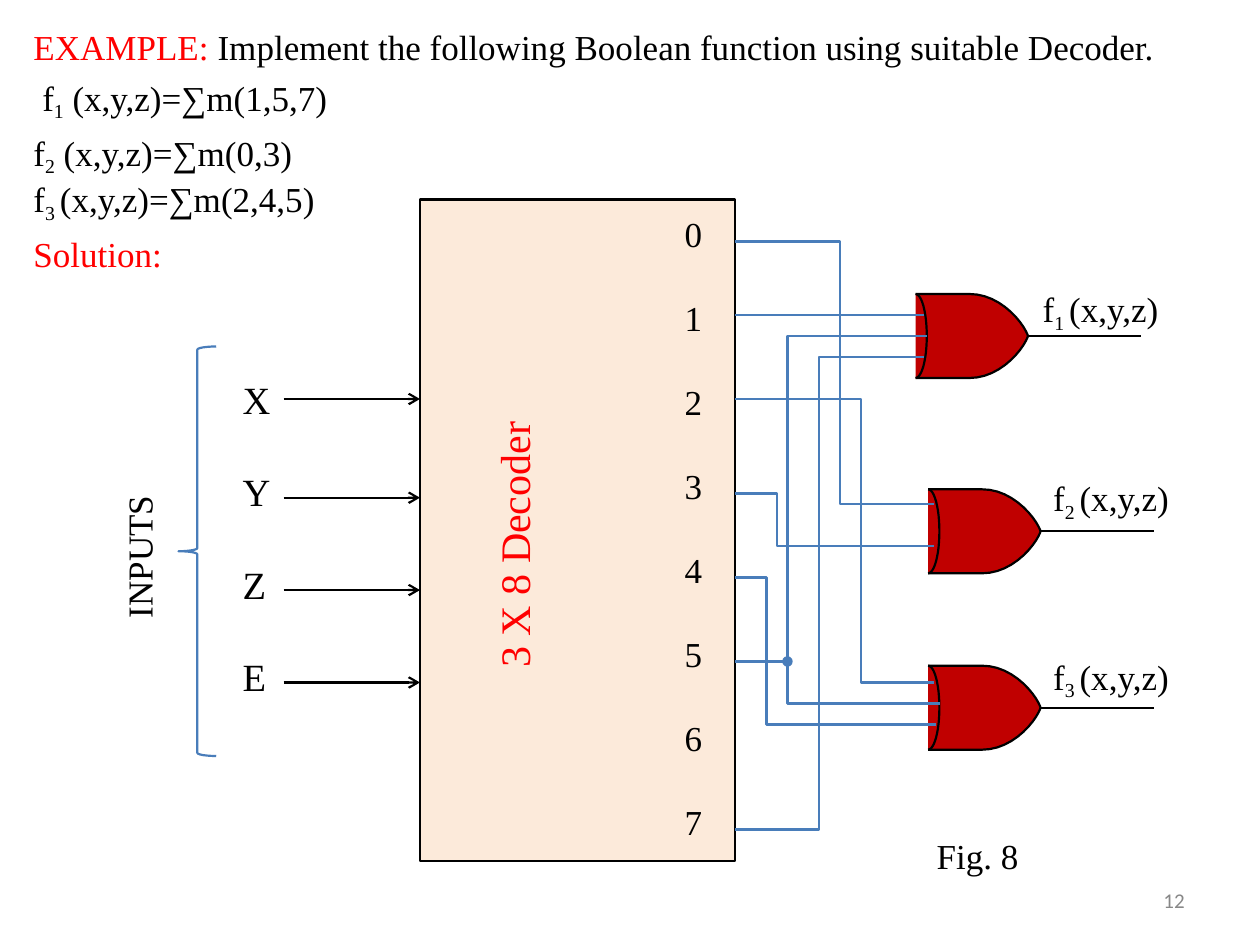
from math import sin, cos, pi

from lxml.etree import SubElement
from pptx import Presentation
from pptx.dml.color import RGBColor
from pptx.enum.shapes import MSO_CONNECTOR as Link, MSO_SHAPE as Shape
from pptx.enum.text import MSO_ANCHOR as Anchor, MSO_AUTO_SIZE as Fit, PP_ALIGN as Align
from pptx.oxml.ns import qn
from pptx.util import Inches, Pt

UNIT = Inches(1) / 12
SERIF = "Times New Roman"
HUES = {"ink": "000000", "red": "FF0000", "box": "FCEADA",
        "gate": "C00000", "wire": "497DBA", "page": "888888"}


def grid(*vals):
    """Turn grid steps, twelve to the inch, into lengths."""
    return [round(v * UNIT) for v in vals]


def hue(name):
    """Look up a colour."""
    return RGBColor.from_string(HUES[name])


def style(shape, fill=None, line=None):
    """Set the fill and line of a shape and drop its shadow."""
    shape.shadow.inherit = False
    if fill:
        shape.fill.solid()
        shape.fill.fore_color.rgb = hue(fill)
    else:
        shape.fill.background()
    if line:
        shape.line.color.rgb = hue(line)
        shape.line.width = Pt(1.25)
    else:
        shape.line.fill.background()


def write(par, parts, size=20, font=SERIF):
    """Fill a paragraph with (text, colour) runs; a colour of 'sub' lowers the run."""
    par.alignment = Align.LEFT
    for text, tone in parts:
        run = par.add_run()
        run.text = text
        low = tone == "sub"
        run.font.name = font
        run.font.size = Pt(size - 0.5 if low else size)
        run.font.color.rgb = hue("ink" if low else tone)
        if low:
            run._r.get_or_add_rPr().set("baseline", "-21000")


def frame(shape, left=0.0):
    """Prepare the text frame of a shape with tight margins."""
    body = shape.text_frame
    body.auto_size = Fit.NONE
    body.word_wrap = True
    body.vertical_anchor = Anchor.TOP
    body.margin_left, body.margin_top = Inches(left), Inches(0.01)
    body.margin_right = body.margin_bottom = 0
    return body


def label(slide, box, parts, size=20, font=SERIF, turn=False):
    """Add a one-line text box, turned upward on request."""
    body = frame(slide.shapes.add_textbox(*grid(*box)))
    if turn:
        body._txBody.bodyPr.set("vert", "vert270")
    write(body.paragraphs[0], parts, size, font)


def term(num, rest):
    """Give the runs of a function name with its index."""
    return [("f", "ink"), (num, "sub"), (rest, "ink")]


def trace(slide, paths, fill=None, line=None, close=False):
    """Draw one shape from paths of grid points."""
    paths = [[grid(*p) for p in pts] for pts in paths]
    form = slide.shapes.build_freeform(*paths[0][0], scale=1.0)
    for i, pts in enumerate(paths):
        if i:
            form.move_to(*pts[0])
        form.add_line_segments(pts[1:], close=close)
    style(form.convert_to_shape(), fill, line)


def link(slide, x, y, size, arrow=False):
    """Draw a level black line, with an arrowhead on request."""
    line = slide.shapes.add_connector(Link.STRAIGHT, *grid(x, y, x + size, y))
    line.line.color.rgb = hue("ink")
    line.line.width = Pt(1.25)
    if arrow:
        SubElement(line.line._get_or_add_ln(), qn("a:tailEnd"), type="arrow")
    SubElement(line._element.spPr, qn("a:effectLst"))


def block(shape, box, rows):
    """Place a placeholder and fill it with (runs, indent, space before) rows."""
    shape.left, shape.top, shape.width, shape.height = grid(*box)
    body = frame(shape, 0.04)
    for i, (parts, inset, gap) in enumerate(rows):
        par = body.add_paragraph() if i else body.paragraphs[0]
        props = par._p.get_or_add_pPr()
        props.set("marL", str(Inches(inset)))
        props.set("indent", "0")
        SubElement(props, qn("a:buNone"))
        par.line_spacing = 1.0 if gap else 1.2
        par.space_before = Pt(gap)
        write(par, parts)


def task(slide):
    """Write the question and the list of functions."""
    block(slide.shapes.title, (2.7, 1.5, 108, 15), [
        ([("EXAMPLE: ", "red"),
          ("Implement the following Boolean function using suitable Decoder.", "ink")], 0, 0),
        (term("1", " (x,y,z)=∑m(1,5,7)"), 0.07, 0),
        (term("2", " (x,y,z)=∑m(0,3)"), 0, 4.8)])
    block(slide.placeholders[1], (2.7, 15.95, 29, 10), [
        (term("3 ", "(x,y,z)=∑m(2,4,5)"), 0, 0),
        ([("Solution:", "red")], 0, 0)])


def coder(slide, x, y, wide, high):
    """Draw the decoder with its name and output numbers."""
    box = slide.shapes.add_shape(Shape.RECTANGLE, *grid(x, y, wide, high))
    style(box, "box", "ink")
    label(slide, (x + 6.5, y + 20, 4.8, 24.6), [("3 X 8 Decoder", "red")], 24, turn=True)
    for i in range(8):
        label(slide, (x + 25.2, y + 1.1 + 8 * i, 3, 4.3), [(str(i), "ink")])


def inputs(slide, x, y, wide, high):
    """Draw the bracket, the input names and their arrows."""
    label(slide, (x - 0.2, y + 13, 4.1, 12.9), [("INPUTS", "ink")], turn=True)
    brace = slide.shapes.add_shape(Shape.LEFT_BRACE, *grid(x + 5.6, y, 3.6, high))
    style(brace, line="wire")
    for i, (name, row) in enumerate(zip("XYZE", (38, 47.4, 56.2, 65))):
        label(slide, (x + 11.7, y + 2.7 + 8.8 * i, 4, 4.7), [(name, "ink")], 22)
        link(slide, x + wide - 13, row, 13, True)


def gate(slide, num, x, y, wide, high, dx, dy):
    """Draw an OR gate with its output line and name."""
    turns = [pi * i / 24 for i in range(25)]
    nose = []
    for t in turns:
        c = cos(t)
        bend = abs(c) ** 1.6 * (1 if c > 0 else -1)
        nose.append((x + wide * (0.48 + 0.52 * sin(t)), y + high * (1 - bend) / 2))
    edge = [(x, y), *nose, (x, y + high)]
    back = [(x + 0.1 * wide * sin(t), y + high * (1 - cos(t)) / 2) for t in turns]
    trace(slide, [edge], fill="gate", close=True)
    trace(slide, [edge, back], line="ink")
    link(slide, x + wide, y + high / 2, 10.8)
    label(slide, (x + dx, y + dy, 14, 4.4), term(f"{num} ", "(x,y,z)"))


def wires(slide, x):
    """Join the decoder outputs to the gates."""
    paths = [
        [(x, 30), (88, 30)],
        [(x, 63), (75, 63), (75, 32), (88.3, 32)],
        [(x, 79), (78, 79), (78, 34), (88, 34)],
        [(x, 23), (80, 23), (80, 48), (89, 48)],
        [(x, 47), (74, 47), (74, 52), (89, 52)],
        [(75, 63), (75, 67), (89.5, 67)],
        [(x, 38), (82, 38), (82, 65), (89, 65)],
        [(x, 55), (73, 55), (73, 69), (89.1, 69)]]
    trace(slide, paths[:5], line="wire")
    style(slide.shapes.add_shape(Shape.OVAL, *grid(74.5, 62.5, 1, 1)), "wire")
    trace(slide, paths[5:], line="wire")


def main():
    """Build and save the slide."""
    deck = Presentation()
    deck.slide_width, deck.slide_height = Inches(10), Inches(7.5)
    slide = deck.slides.add_slide(deck.slide_layouts[1])
    task(slide)
    coder(slide, 40, 19, 30, 63)
    inputs(slide, 11.4, 33, 28.6, 39)
    gates = [(87.2, 28, 12.1, -0.7), (88.4, 46.6, 11.9, -1.3), (88.4, 63.4, 11.9, -1.1)]
    for num, (x, y, dx, dy) in enumerate(gates, 1):
        gate(slide, num, x, y, 10.7, 8, dx, dy)
    wires(slide, 70)
    label(slide, (89.2, 79.4, 9, 4.4), [("Fig. 8", "ink")])
    label(slide, (110.8, 84.4, 4, 2.4), [("12", "page")], 12, "Calibri")
    deck.save("out.pptx")


if __name__ == "__main__":
    main()
